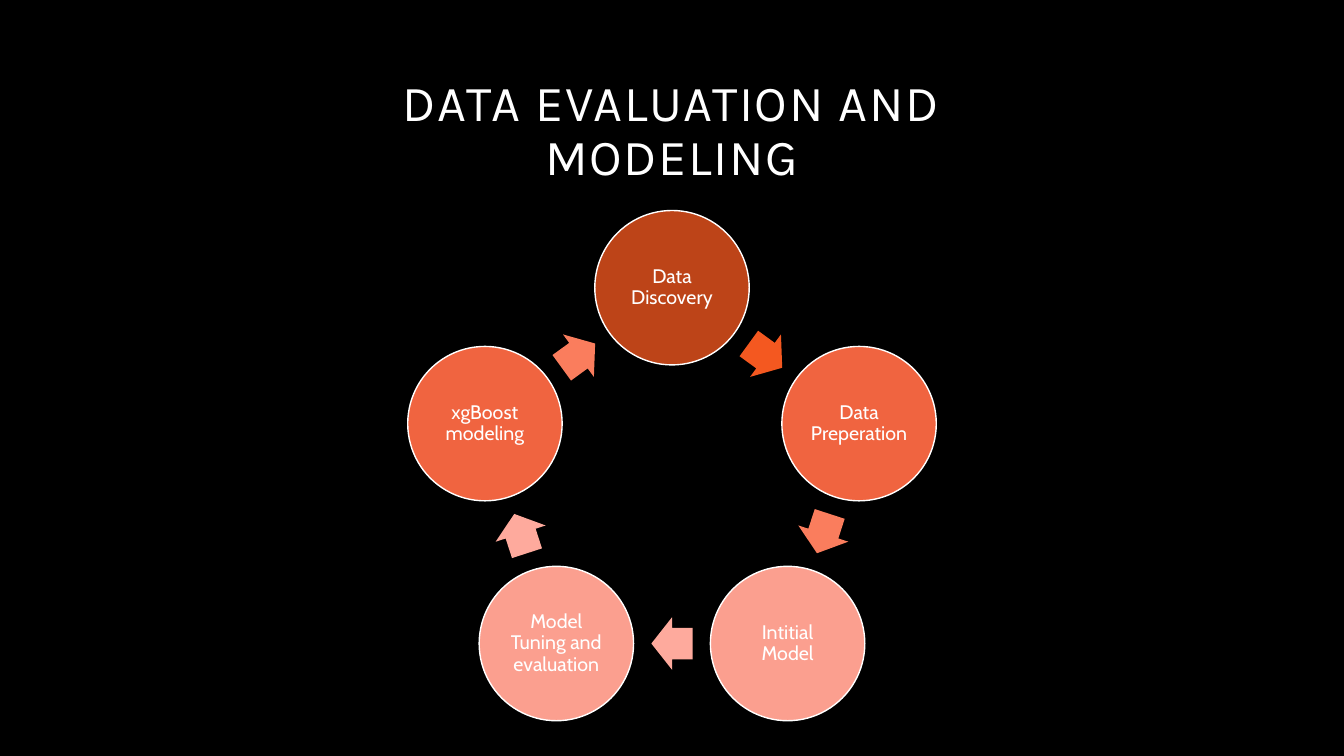
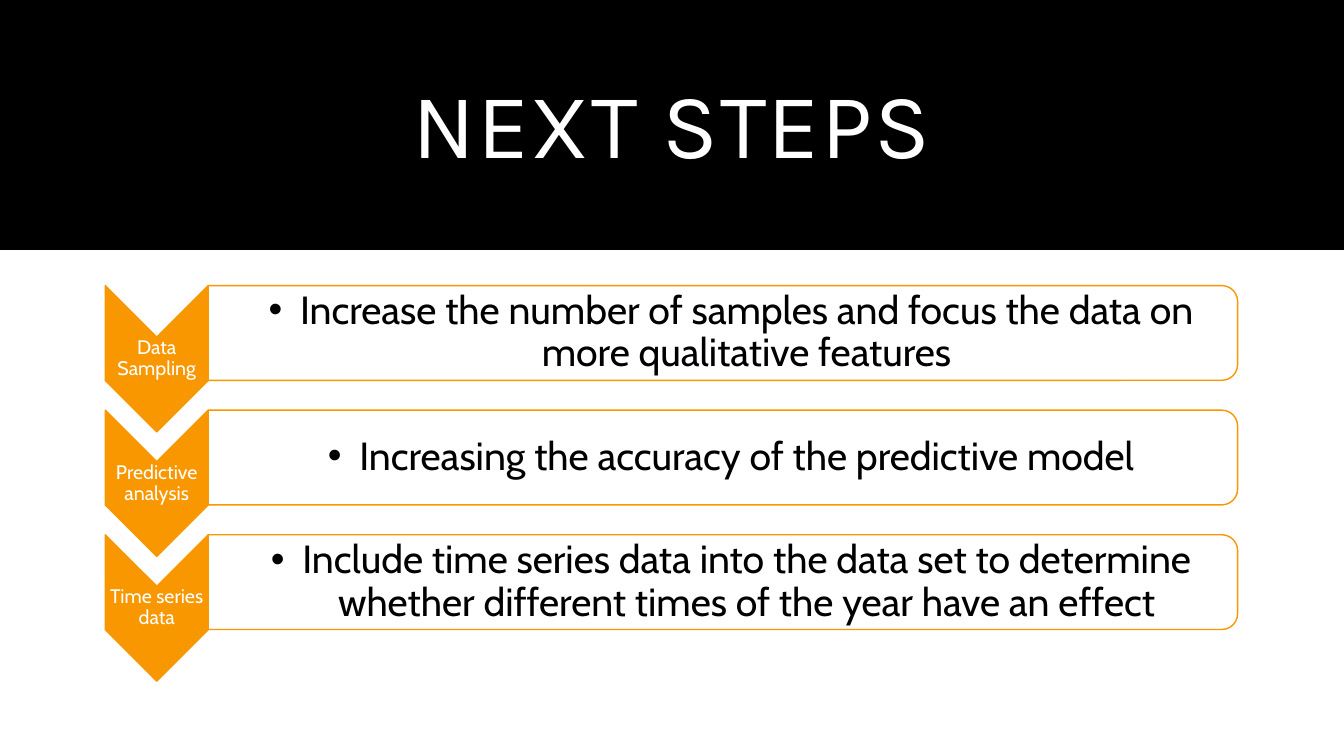
import math

from lxml import etree
from pptx import Presentation
from pptx.dml.color import RGBColor
from pptx.enum import shapes, text
from pptx.oxml import ns
from pptx.util import Pt

BLACK = RGBColor(0x00, 0x00, 0x00)
WHITE = RGBColor(0xFF, 0xFF, 0xFF)
ORANGE = RGBColor(0xF9, 0x97, 0x00)
RUST = RGBColor(0xBD, 0x44, 0x18)
CORAL = RGBColor(0xF0, 0x64, 0x40)
SALMON = RGBColor(0xFB, 0x9F, 0x8F)
ARROW_RED = RGBColor(0xF4, 0x58, 0x20)
ARROW_CORAL = RGBColor(0xFA, 0x7D, 0x5D)
ARROW_PINK = RGBColor(0xFE, 0xAA, 0x9D)

TITLE_FONT, BODY_FONT = "Karla", "Cabin"
PAGE_WIDTH, PAGE_HEIGHT = 960, 540
BAND_HEIGHT = 178.5
KIND = shapes.MSO_SHAPE

# Stage name, circle colour, colour of the arrow to the next stage
STAGES = [
    ("Data Discovery", RUST, ARROW_RED),
    ("Data Preperation", CORAL, ARROW_CORAL),
    ("Intitial Model", SALMON, ARROW_PINK),
    ("Model Tuning and evaluation", SALMON, ARROW_PINK),
    ("xgBoost modeling", CORAL, ARROW_CORAL),
]
STEPS = [
    ("Data Sampling",
     "Increase the number of samples and focus the data on more qualitative features"),
    ("Predictive analysis", "Increasing the accuracy of the predictive model"),
    ("Time series data",
     "Include time series data into the data set to determine whether "
     "different times of the year have an effect"),
]


def write(box, words, size=14, font=BODY_FONT, color=WHITE, insets=(1.5, 1.5, 1.5, 1.5),
          spacing=None, bullet_indent=None):
    """Fill a shape with one centred paragraph."""
    frame = box.text_frame
    frame.word_wrap = True
    frame.auto_size = text.MSO_AUTO_SIZE.NONE
    frame.vertical_anchor = text.MSO_ANCHOR.MIDDLE
    (frame.margin_left, frame.margin_top,
     frame.margin_right, frame.margin_bottom) = map(Pt, insets)
    para = frame.paragraphs[0]
    para.alignment = text.PP_ALIGN.CENTER
    para.line_spacing = 0.9
    span = para.add_run()
    span.text = words
    span.font.size = Pt(size)
    span.font.name = font
    span.font.color.rgb = color
    if spacing:
        span.font._element.set("spc", str(round(spacing * 100)))
    if bullet_indent:
        settings = para._p.get_or_add_pPr()
        settings.set("marL", str(Pt(bullet_indent)))
        settings.set("indent", str(-Pt(bullet_indent)))
        etree.SubElement(settings, ns.qn("a:buFont")).set("typeface", "Arial")
        etree.SubElement(settings, ns.qn("a:buChar")).set("char", "•")


def add_text(page, left, top, width, height, words, **style):
    box = page.shapes.add_textbox(Pt(left), Pt(top), Pt(width), Pt(height))
    write(box, words, **style)


def draw(page, kind, center, width, height, fill, line=None, turn=0, opacity=None):
    """Add a preset shape around a centre point; sizes are before the turn."""
    x, y = center
    shape = page.shapes.add_shape(kind, Pt(x - width / 2), Pt(y - height / 2),
                                  Pt(width), Pt(height))
    shape.shadow.inherit = False
    shape.rotation = turn
    shape.fill.solid()
    shape.fill.fore_color.rgb = fill
    if opacity:
        color = shape.element.spPr.find(".//" + ns.qn("a:srgbClr"))
        etree.SubElement(color, ns.qn("a:alpha")).set("val", str(opacity * 1000))
    if line is None:
        shape.line.fill.background()
    else:
        shape.line.color.rgb = line
        shape.line.width = Pt(1)
    return shape


def add_page(deck, title, title_box, size, background):
    page = deck.slides.add_slide(deck.slide_layouts[5])
    page.background.fill.solid()
    page.background.fill.fore_color.rgb = background
    heading = page.shapes.title
    heading.left, heading.top, heading.width, heading.height = map(Pt, title_box)
    write(heading, title, size=size, font=TITLE_FONT, insets=(7.2, 3.6, 7.2, 3.6),
          spacing=1.2)
    return page


def add_title_band(page):
    band = draw(page, KIND.RECTANGLE, (PAGE_WIDTH / 2, BAND_HEIGHT / 2),
                PAGE_WIDTH, BAND_HEIGHT, BLACK)
    page.shapes.element.insert(2, band.element)  # behind the title


def add_cycle(page, center, radius, diameter):
    """Circles evenly spread on a ring, with an arrow midway between neighbours."""
    step = 360 / len(STAGES)

    def on_ring(angle, distance):
        turn = math.radians(angle)
        return (center[0] + distance * math.sin(turn),
                center[1] - distance * math.cos(turn))

    midway = radius * math.cos(math.radians(step / 2))
    for index, (name, fill, arrow_fill) in enumerate(STAGES):
        angle = index * step
        circle = draw(page, KIND.OVAL, on_ring(angle, radius), diameter, diameter,
                      fill, line=WHITE)
        write(circle, name)
        arrow_angle = angle + step / 2
        arrow = draw(page, KIND.RIGHT_ARROW, on_ring(arrow_angle, midway), 29.5, 37.5,
                     arrow_fill, turn=arrow_angle)
        arrow.adjustments[0] = 0.6


def add_step(page, left, top, width, label, detail):
    """A downward chevron with its label, and a bar with the detail beside it."""
    chevron_width, chevron_height, bar_height = 73.5, 104.5, 67.7
    point = chevron_width / 2
    draw(page, KIND.CHEVRON, (left + point, top + chevron_height / 2),
         chevron_height, chevron_width, ORANGE, line=ORANGE, turn=90)
    add_text(page, left, top + point, chevron_width, chevron_height - 2 * point,
             label, insets=(0.7, 0.7, 0.7, 0.7))
    bar_left, bar_width = left + chevron_width, width - chevron_width
    draw(page, KIND.ROUND_2_SAME_RECTANGLE,
         (bar_left + bar_width / 2, top + bar_height / 2),
         bar_height, bar_width, WHITE, line=ORANGE, turn=90, opacity=90)
    add_text(page, bar_left, top + 3.3, bar_width - 3.3, bar_height - 6.6, detail,
             size=28, color=BLACK, insets=(15.8, 1.4, 1.4, 1.4), bullet_indent=22.5)


def add_steps(page, left, top, width, pitch):
    for index, (label, detail) in enumerate(STEPS):
        add_step(page, left, top + index * pitch, width, label, detail)


def main():
    deck = Presentation()
    deck.slide_width, deck.slide_height = Pt(PAGE_WIDTH), Pt(PAGE_HEIGHT)

    # Modeling cycle
    page = add_page(deck, "DATA EVALUATION AND MODELING", (224, 10, 512, 169), 36, BLACK)
    add_cycle(page, center=(480, 346), radius=140.5, diameter=110.3)

    # Next steps
    page = add_page(deck, "NEXT STEPS", (75.5, 25, 808.5, 134), 66, WHITE)
    add_title_band(page)
    add_steps(page, left=75.2, top=204, width=808.8, pitch=89)

    deck.save("out.pptx")


if __name__ == "__main__":
    main()
